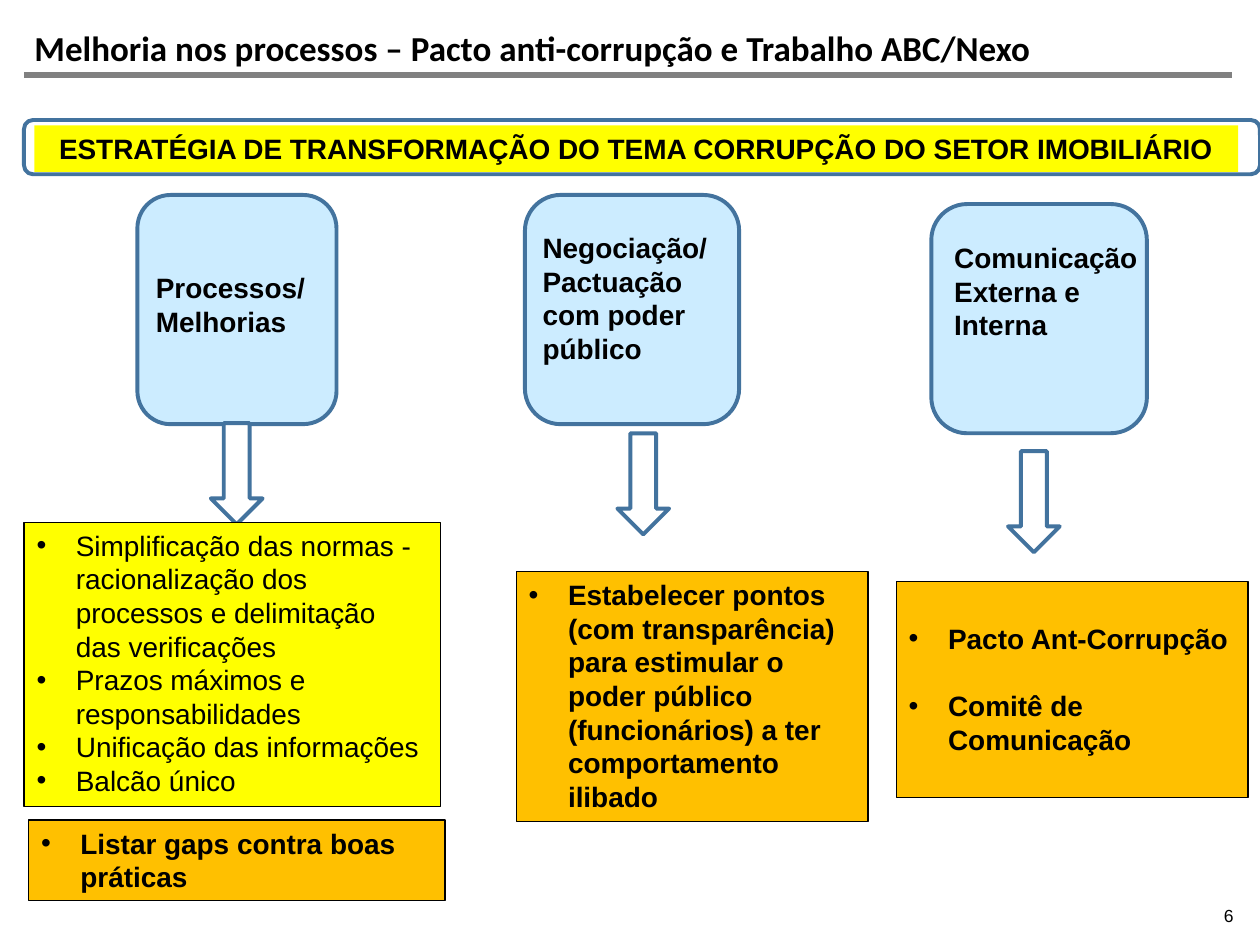
from lxml.etree import SubElement
from pptx import Presentation
from pptx.dml.color import RGBColor
from pptx.enum.shapes import MSO_CONNECTOR as Connector, MSO_SHAPE as Shape
from pptx.enum.text import MSO_ANCHOR as Anchor, PP_ALIGN as Align
from pptx.oxml.ns import qn
from pptx.util import Pt

BLUE, PALE, YELLOW, ORANGE = "43739E", "CCECFF", "FFFF00", "FFC000"
BLACK, WHITE, GRAY = "000000", "FFFFFF", "808080"
INDENT = Pt(22.5)
LINE_HEIGHT = 19.2


def color(value):
    """Turn a hex string into a colour."""
    return RGBColor.from_string(value)


def add_panel(page, kind, box, fill, line=None, weight=2.25):
    """Draw a filled preset shape in the given box."""
    panel = page.shapes.add_shape(kind, *map(Pt, box))
    panel.shadow.inherit = False
    panel.fill.solid()
    panel.fill.fore_color.rgb = color(fill)
    if line:
        panel.line.color.rgb = color(line)
        panel.line.width = Pt(weight)
    else:
        panel.line.fill.background()
    return panel


def add_bullet(para):
    """Give a paragraph a round bullet and a hanging indent."""
    properties = para._p.get_or_add_pPr()
    properties.set("marL", str(INDENT))
    properties.set("indent", str(-INDENT))
    SubElement(properties, qn("a:buFont"), typeface="Arial")
    SubElement(properties, qn("a:buChar"), char="•")


def write(shape, lines, size=16, bold=True, align=Align.LEFT, anchor=Anchor.TOP,
          font="Arial", inset=None, bullets=False, gap=0):
    """Fill a shape with styled paragraphs."""
    frame = shape.text_frame
    frame.word_wrap = True
    frame.vertical_anchor = anchor
    if inset is not None:
        frame.margin_left = frame.margin_right = Pt(inset)
        frame.margin_top = frame.margin_bottom = Pt(inset)
    for index, text in enumerate(lines):
        para = frame.paragraphs[0] if index == 0 else frame.add_paragraph()
        para.text = text
        para.alignment = align
        if index and gap:
            para.space_before = Pt(gap)
        if bullets:
            add_bullet(para)
        para.font.name, para.font.size, para.font.bold = font, Pt(size), bold
        para.font.color.rgb = color(BLACK)
    return frame


def add_header(page, left, top, width):
    """Place the title above its rule."""
    title = page.shapes.add_textbox(Pt(left + 6), Pt(top), Pt(width - 6), Pt(25))
    text = "Melhoria nos processos – Pacto anti-corrupção e Trabalho ABC/Nexo"
    frame = write(title, [text], 20, font="Calibri", inset=0)
    frame.paragraphs[0].line_spacing = 0.9
    rule = page.shapes.add_connector(
        Connector.STRAIGHT, Pt(left), Pt(top + 25), Pt(left + width), Pt(top + 25))
    rule.line.color.rgb = color(GRAY)
    rule.line.width = Pt(3.2)
    SubElement(rule._element.spPr, qn("a:effectLst"))


def add_banner(page, left, top, width, height):
    """Place the strategy banner inside its rounded frame."""
    add_panel(page, Shape.ROUNDED_RECTANGLE, (left, top, width, height), WHITE, BLUE)
    strip = add_panel(page, Shape.RECTANGLE,
                      (left + 6, top + 3, width - 18.5, height - 4.3), YELLOW)
    write(strip, ["ESTRATÉGIA DE TRANSFORMAÇÃO DO TEMA CORRUPÇÃO DO SETOR IMOBILIÁRIO"],
          align=Align.CENTER)


def add_theme(page, left, top, width, text, label, arrow):
    """Place a theme card with its label and the arrow below it."""
    add_panel(page, Shape.ROUNDED_RECTANGLE, (left, top, width, 131), PALE, BLUE)
    dx, dy, label_width, label_height = label
    caption = page.shapes.add_textbox(
        Pt(left + dx), Pt(top + dy), Pt(label_width), Pt(label_height))
    write(caption, [text])
    dx, dy = arrow
    add_panel(page, Shape.DOWN_ARROW, (left + dx, top + dy, 29.6, 57.8), WHITE, BLUE)


def add_actions(page, box, fill, lines, bold=True, gap=0, lead=0):
    """Place a bordered box of bulleted actions."""
    panel = add_panel(page, Shape.RECTANGLE, box, fill, BLACK, 0.75)
    frame = write(panel, lines, bold=bold, bullets=True, gap=gap)
    frame.margin_top = Pt(3.6 + lead)


def add_page_number(page, left, top, width, height, number):
    """Place the page number at the bottom right."""
    box = page.shapes.add_textbox(Pt(left), Pt(top), Pt(width), Pt(height))
    write(box, [number], 10, False, Align.RIGHT, Anchor.BOTTOM, inset=0)


def main():
    """Build the slide and save it."""
    deck = Presentation()
    deck.slide_width, deck.slide_height = Pt(720), Pt(540)
    page = deck.slides.add_slide(deck.slide_layouts[6])

    add_header(page, 13.7, 18, 690.5)
    add_banner(page, 13.7, 68.6, 706.3, 31)

    add_theme(page, 78.5, 111.4, 113.8, "Processos/ Melhorias",
              (3.5, 39.8, 116.6, 46), (42, 130.4))
    add_theme(page, 300, 111.4, 122.4, "Negociação/ Pactuação com poder público",
              (3, 16.8, 113, 85), (52.8, 136.2))
    add_theme(page, 532.2, 116.6, 123.2, "Comunicação Externa e Interna",
              (6, 17.3, 120.3, 65.5), (43.8, 141.2))

    add_actions(page, (13.8, 298.4, 238, 162.5), YELLOW, [
        "Simplificação das normas - racionalização dos processos e delimitação das verificações",
        "Prazos máximos e responsabilidades",
        "Unificação das informações",
        "Balcão único"], bold=False)
    add_actions(page, (295, 326.6, 201, 143), ORANGE, [
        "Estabelecer pontos (com transparência) para estimular o poder público "
        "(funcionários) a ter comportamento ilibado"])
    add_actions(page, (512.2, 332.4, 201, 123.5), ORANGE,
                ["Pacto Ant-Corrupção", "Comitê de Comunicação"],
                gap=LINE_HEIGHT, lead=LINE_HEIGHT)
    add_actions(page, (16.4, 468.5, 238, 46), ORANGE, ["Listar gaps contra boas práticas"])

    add_page_number(page, 536.4, 517, 168.5, 12.2, "6")
    deck.save("out.pptx")


if __name__ == "__main__":
    main()
